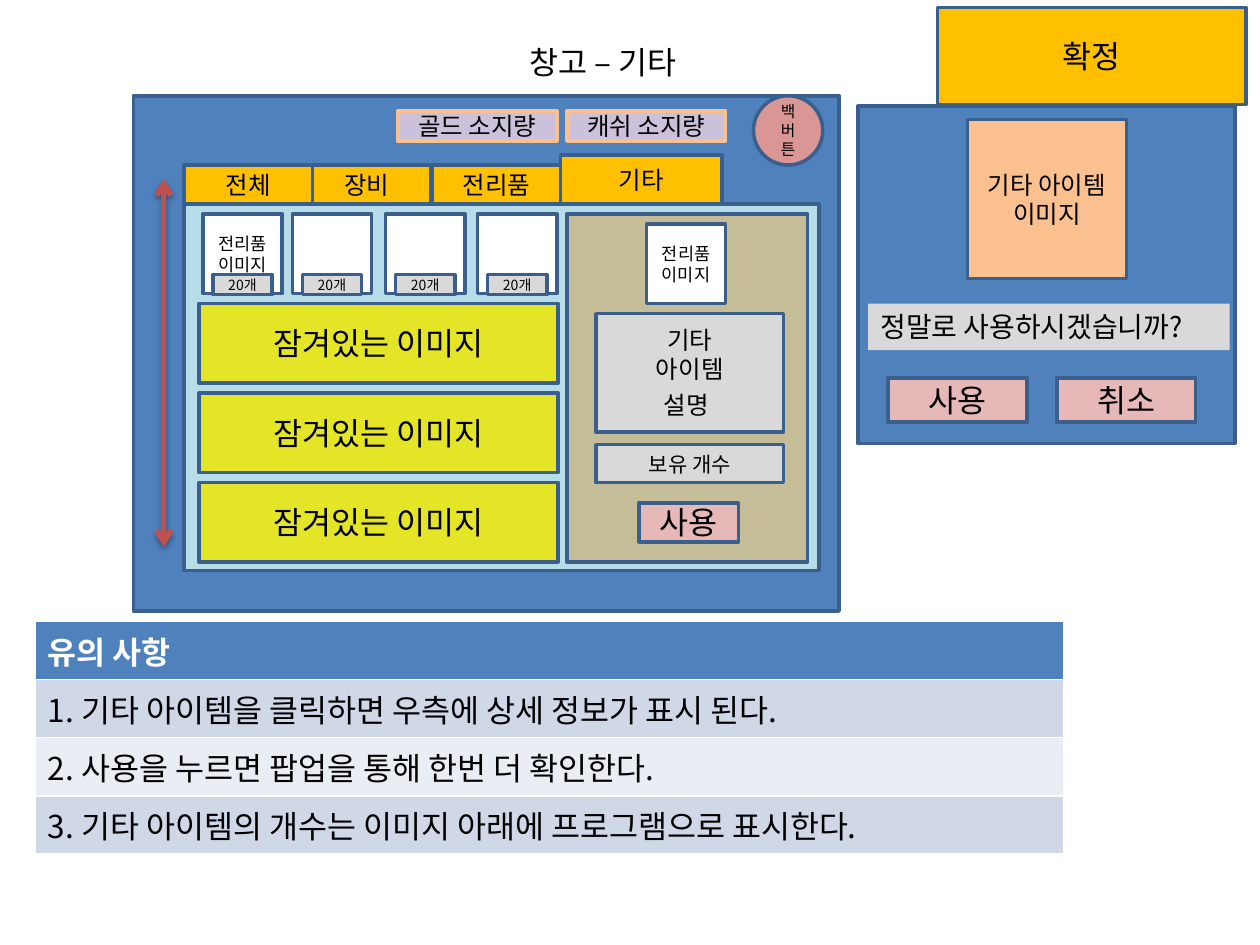
from lxml import etree
from pptx import Presentation
from pptx.dml.color import RGBColor
from pptx.enum.shapes import MSO_CONNECTOR, MSO_SHAPE
from pptx.enum.text import MSO_ANCHOR, PP_ALIGN
from pptx.oxml import parse_xml
from pptx.oxml.ns import qn
from pptx.util import Inches, Pt

RECTANGLE, OVAL = MSO_SHAPE.RECTANGLE, MSO_SHAPE.OVAL
STRAIGHT = MSO_CONNECTOR.STRAIGHT
TOP, MIDDLE = MSO_ANCHOR.TOP, MSO_ANCHOR.MIDDLE
LEFT, CENTER = PP_ALIGN.LEFT, PP_ALIGN.CENTER

FONT = "Noto Sans CJK KR"
BLACK, WHITE, BLUE, OUTLINE = "000000", "FFFFFF", "4F81BD", "3A5F8C"
PEACH, LILAC, GOLD, PINK = "FAC090", "CCC1DA", "FFC000", "E6B9B8"
GRAY, YELLOW, RED = "D9D9D9", "E5E527", "C0504D"
BANDS = ["D0D8E8", "E9EDF4"]
SHADOW = (
    '<a:effectLst xmlns:a="http://schemas.openxmlformats.org/drawingml/2006/main">'
    '<a:outerShdw blurRad="40000" dist="23000" dir="5400000" rotWithShape="0">'
    '<a:srgbClr val="000000"><a:alpha val="35000"/></a:srgbClr>'
    '</a:outerShdw></a:effectLst>'
)

TITLE = "창고 – 기타"
BALANCES = [("골드 소지량", 3.16), ("캐쉬 소지량", 4.5)]
TABS = [
    ("장비", (2.4, 1.31, 1.02, 0.31)),
    ("기타", (4.45, 1.23, 1.28, 0.39)),
    ("전리품", (3.43, 1.31, 1.02, 0.31)),
    ("전체", (1.46, 1.31, 1.02, 0.31)),
]
DETAIL_PARTS = [
    (["전리품 이미지"], (5.13, 1.78, 0.63, 0.63), WHITE, 10),
    (["기타", "아이템", "설명"], (4.73, 2.49, 1.49, 0.94), GRAY, 14),
    (["사용"], (5.07, 3.99, 0.79, 0.31), PINK, 18),
    (["보유 개수"], (4.73, 3.53, 1.49, 0.3), GRAY, 12),
]
POPUP_BUTTONS = [("사용", 7.05), ("취소", 8.39)]
QUESTION = "정말로 사용하시겠습니까?"
ITEMS = [(["전리품 이미지"], 1.61, 1.69), ([], 2.32, 2.4), ([], 3.06, 3.14), ([], 3.79, 3.87)]
ITEM_COUNT = "20개"
LOCKED, LOCKED_ROWS = "잠겨있는 이미지", 3
NOTES = [
    "유의 사항",
    "1. 기타 아이템을 클릭하면 우측에 상세 정보가 표시 된다.",
    "2. 사용을 누르면 팝업을 통해 한번 더 확인한다.",
    "3. 기타 아이템의 개수는 이미지 아래에 프로그램으로 표시한다.",
]


def color(value):
    return RGBColor.from_string(value)


def add_run(paragraph, text, size, text_color=BLACK, bold=False):
    run = paragraph.add_run()
    run.text = text
    run.font.size = Pt(size)
    run.font.bold = bold
    run.font.color.rgb = color(text_color)
    run.font.name = FONT
    east_asian = etree.SubElement(run.font._element, qn("a:ea"))
    east_asian.set("typeface", FONT)


def write(frame, lines, size=18, align=CENTER, anchor=MIDDLE, wrap=True, **style):
    frame.word_wrap = wrap
    frame.vertical_anchor = anchor
    for index, line in enumerate(lines):
        paragraph = frame.add_paragraph() if index else frame.paragraphs[0]
        paragraph.alignment = align
        add_run(paragraph, line, size, **style)


def add_box(slide, box, fill, lines=(), outline=OUTLINE, kind=RECTANGLE, **style):
    shape = slide.shapes.add_shape(kind, *map(Inches, box))
    shape.shadow.inherit = False
    shape.fill.solid()
    shape.fill.fore_color.rgb = color(fill)
    if outline:
        shape.line.color.rgb = color(outline)
        shape.line.width = Pt(2)
    else:
        shape.line.fill.background()
    write(shape.text_frame, lines, **style)
    return shape


def add_title(slide):
    title = slide.shapes.title
    title.left, title.top, title.width, title.height = map(Inches, (4.1, 0.29, 1.52, 0.4))
    write(title.text_frame, [TITLE], align=LEFT, anchor=TOP, wrap=False)


def add_storage(slide):
    add_box(slide, (1.06, 0.76, 5.6, 4.09), BLUE)
    for label, left in BALANCES:
        add_box(slide, (left, 0.88, 1.26, 0.24), LILAC, [label], outline=PEACH, size=14)
    add_box(slide, (5.98, 0.76, 0.55, 0.55), "D99694", ["백버튼"], kind=OVAL, size=9)
    for label, box in TABS:
        add_box(slide, box, GOLD, [label], size=14)
    add_box(slide, (1.46, 1.62, 5.04, 2.91), "B7DEE8")

    add_box(slide, (4.5, 1.7, 1.91, 2.76), "C4BD97")
    for lines, box, fill, size in DETAIL_PARTS:
        shape = add_box(slide, box, fill, lines, size=size)
        if len(lines) > 1:
            add_run(shape.text_frame.paragraphs[-1], " ", 18)

    for lines, left, count_left in ITEMS:
        add_box(slide, (left, 1.7, 0.63, 0.63), WHITE, lines, size=10)
        add_box(slide, (count_left, 2.18, 0.47, 0.16), GRAY, [ITEM_COUNT], size=8)
    for row in range(LOCKED_ROWS):
        add_box(slide, (1.58, 2.41 + 0.71 * row, 2.85, 0.63), YELLOW, [LOCKED])


def add_scroll_arrow(slide):
    arrow = slide.shapes.add_connector(STRAIGHT, *map(Inches, (1.3, 4.34, 1.3, 1.42)))
    arrow.line.color.rgb = color(RED)
    arrow.line.width = Pt(3)
    line = arrow.line._ln
    for end in ("a:headEnd", "a:tailEnd"):
        etree.SubElement(line, qn(end)).set("type", "arrow")
    arrow._element.spPr.append(parse_xml(SHADOW))


def add_popup(slide):
    add_box(slide, (6.81, 0.84, 2.99, 2.68), BLUE)
    add_box(slide, (7.68, 0.95, 1.26, 1.26), PEACH, ["기타 아이템", "이미지"], size=14)
    for label, left in POPUP_BUTTONS:
        add_box(slide, (left, 3, 1.1, 0.35), PINK, [label])
    add_box(slide, (6.89, 2.41, 2.87, 0.37), GRAY, [QUESTION], outline=None,
            size=16, align=LEFT, anchor=TOP)
    add_box(slide, (7.44, 0.06, 2.45, 0.77), GOLD, ["확정"])


def add_notes_table(slide):
    box = map(Inches, (0.28, 4.93, 8.16, 1.62))
    table = slide.shapes.add_table(len(NOTES), 1, *box).table
    for row, note in enumerate(NOTES):
        cell = table.cell(row, 0)
        header = row == 0
        cell.fill.solid()
        cell.fill.fore_color.rgb = color(BLUE if header else BANDS[(row - 1) % 2])
        paragraph = cell.text_frame.paragraphs[0]
        add_run(paragraph, note, 18, text_color=WHITE if header else BLACK, bold=header)


def main():
    presentation = Presentation()
    presentation.slide_width, presentation.slide_height = Inches(10), Inches(7.5)
    slide = presentation.slides.add_slide(presentation.slide_layouts[5])
    add_title(slide)
    add_storage(slide)
    add_notes_table(slide)
    add_popup(slide)
    add_scroll_arrow(slide)
    presentation.save("out.pptx")


if __name__ == "__main__":
    main()
